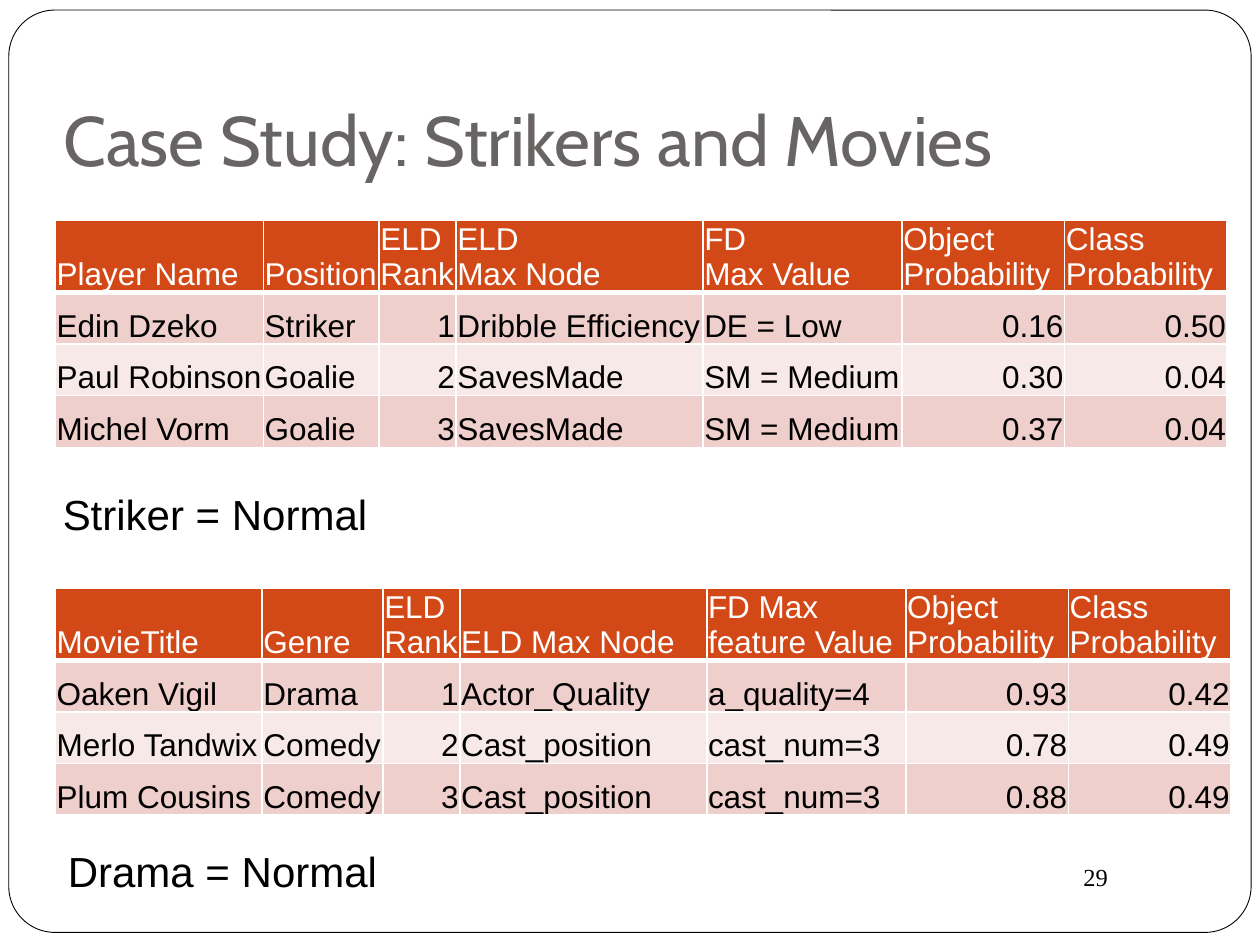
from lxml import etree
from pptx import Presentation
from pptx.dml.color import RGBColor
from pptx.enum.shapes import MSO_SHAPE
from pptx.enum.text import MSO_ANCHOR, MSO_AUTO_SIZE, PP_ALIGN
from pptx.util import Inches, Pt

ROUNDED = MSO_SHAPE.ROUNDED_RECTANGLE
BOTTOM = MSO_ANCHOR.BOTTOM
NO_AUTOFIT = MSO_AUTO_SIZE.NONE
LEFT, RIGHT = PP_ALIGN.LEFT, PP_ALIGN.RIGHT
HEADER_RULE = (
    '<a:lnB xmlns:a="http://schemas.openxmlformats.org/drawingml/2006/main" w="38100">'
    '<a:solidFill><a:srgbClr val="FFFFFF"/></a:solidFill></a:lnB>'
)


def rgb(value):
    return RGBColor.from_string(value)


def write(tf, text, size=18, font="Arial", color="000000", align=LEFT):
    tf.text = text
    for p in tf.paragraphs:
        p.alignment = align
        for r in p.runs:
            r.font.size = Pt(size)
            r.font.name = font
            r.font.bold = False
            r.font.color.rgb = rgb(color)


prs = Presentation()
prs.slide_width, prs.slide_height = Inches(10), Inches(7.5)
s = prs.slides.add_slide(prs.slide_layouts[5])

frame = s.shapes.add_shape(ROUNDED, Inches(0.07), Inches(0.08), Inches(9.86), Inches(7.32))
frame.adjustments[0] = 0.05
frame.shadow.inherit = False
frame.fill.solid()
frame.fill.fore_color.rgb = rgb("FFFFFF")
frame.line.color.rgb = rgb("000000")
frame.line.width = Pt(0.5)
s.shapes._spTree.insert(2, frame._element)

title = s.shapes.title
title.left, title.top = Inches(0.4), Inches(0.28)
title.width, title.height = Inches(8.5), Inches(1.25)
tf = title.text_frame
tf.auto_size = NO_AUTOFIT
tf.vertical_anchor = BOTTOM
tf.margin_left = tf.margin_right = tf.margin_bottom = Inches(0.1)
tf.margin_top = Inches(0.05)
write(tf, "Case Study: Strikers and Movies", size=40, font="Cabin", color="696464")

strikers = [
    ["Player Name", "Position", "ELD\nRank", "ELD\nMax Node", "FD\nMax Value",
     "Object Probability", "Class Probability"],
    ["Edin Dzeko", "Striker", "1", "Dribble Efficiency", "DE = Low", "0.16", "0.50"],
    ["Paul Robinson", "Goalie", "2", "SavesMade", "SM = Medium", "0.30", "0.04"],
    ["Michel Vorm", "Goalie", "3", "SavesMade", "SM = Medium", "0.37", "0.04"],
]
movies = [
    ["MovieTitle", "Genre", "ELD\nRank", "ELD Max Node", "FD Max feature Value",
     "Object Probability", "Class Probability"],
    ["Oaken Vigil", "Drama", "1", "Actor_Quality", "a_quality=4", "0.93", "0.42"],
    ["Merlo Tandwix", "Comedy", "2", "Cast_position", "cast_num=3", "0.78", "0.49"],
    ["Plum Cousins", "Comedy", "3", "Cast_position", "cast_num=3", "0.88", "0.49"],
]
shared_widths = [0.61, 1.96, 1.58, 1.29, 1.29]
row_fills = ["D34817", "EFCFCC", "F7E9E8", "EFCFCC"]
numeric_columns = {2, 5, 6}

for top, first_widths, rows in [(1.75, [1.65, 0.92], strikers), (4.67, [1.64, 0.96], movies)]:
    widths = first_widths + shared_widths
    table = s.shapes.add_table(len(rows), len(widths), Inches(0.44), Inches(top),
                               Inches(sum(widths)), Inches(0.41 * len(rows))).table
    for column, width in zip(table.columns, widths):
        column.width = Inches(width)
    for i, row in enumerate(rows):
        for j, text in enumerate(row):
            cell = table.cell(i, j)
            cell.margin_left = cell.margin_right = cell.margin_top = Inches(0.01)
            cell.margin_bottom = 0
            cell.vertical_anchor = BOTTOM
            cell.fill.solid()
            cell.fill.fore_color.rgb = rgb(row_fills[i])
            if i == 0:
                cell._tc.get_or_add_tcPr().insert(0, etree.fromstring(HEADER_RULE))
            write(cell.text_frame, text, color="000000" if i else "FFFFFF",
                  align=RIGHT if i and j in numeric_columns else LEFT)

for text, left, top, width, height, size, font in [
    ("Striker = Normal", 0.4, 3.83, 3.33, 0.5, 24, "Arial"),
    ("Drama = Normal", 0.44, 6.66, 3.33, 0.5, 24, "Arial"),
    ("29", 8.5, 6.79, 1, 0.34, 14, "Times New Roman"),
]:
    tf = s.shapes.add_textbox(Inches(left), Inches(top), Inches(width), Inches(height)).text_frame
    tf.word_wrap = True
    write(tf, text, size=size, font=font)

prs.save("out.pptx")
